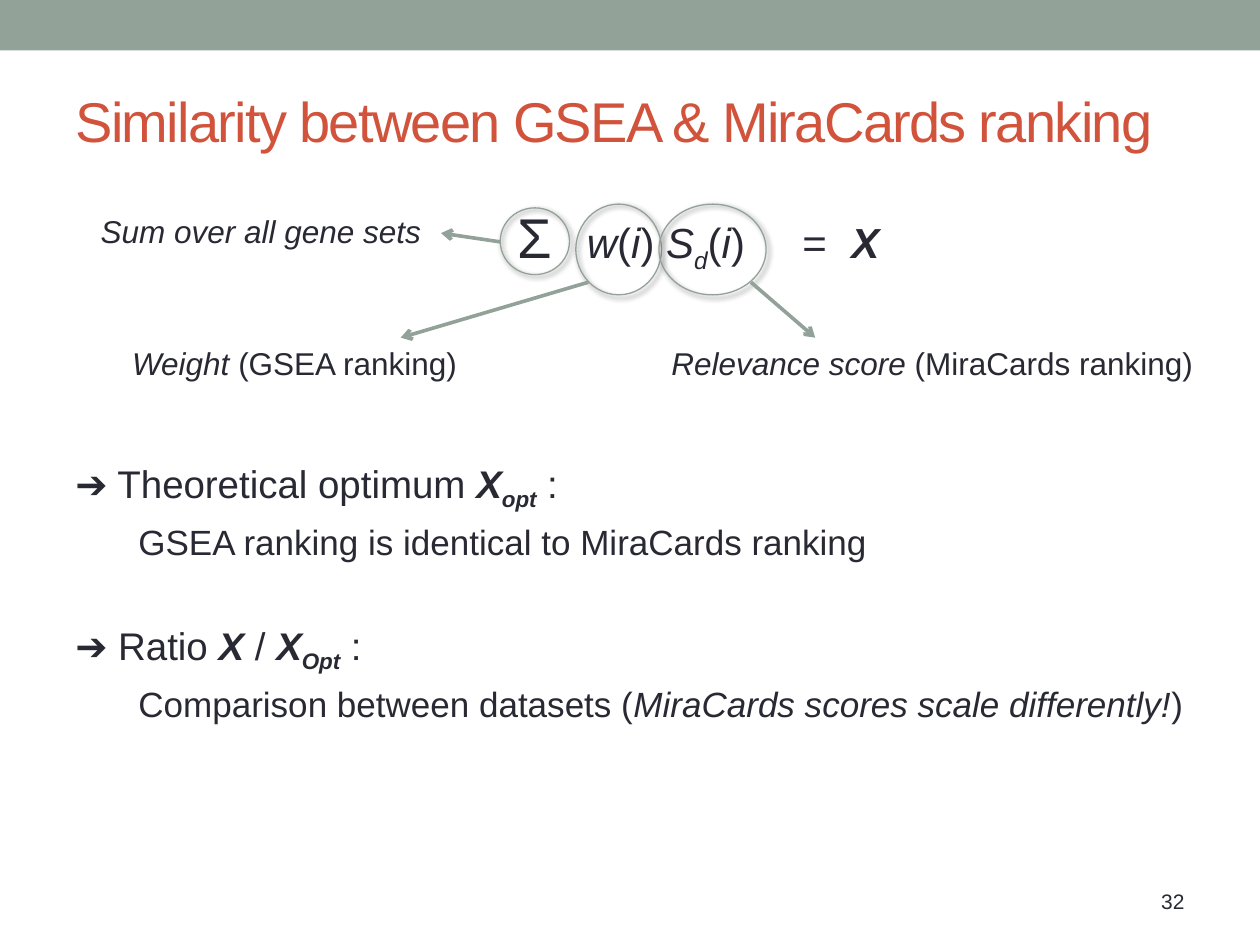
from dataclasses import dataclass
from lxml import etree
from pptx import Presentation, util as u
from pptx.dml.color import RGBColor
from pptx.enum import shapes, text
from pptx.oxml import ns


@dataclass(frozen=True)
class Theme:
    font: str = "Arial"
    ink: str = "292934"
    sage: str = "93A299"
    rust: str = "D2533C"
    title: int = 32
    math: int = 24
    head: int = 22
    body: int = 20
    label: int = 18
    foot: int = 12


def sub(top, tag, **attrs):
    return etree.SubElement(top, ns.qn(tag), attrs)


class Deck:
    """Draw styled elements on a slide, placed on a 100 by 75 grid."""

    def __init__(self, theme):
        self.theme = theme
        self.prs = Presentation()
        self.prs.slide_width, self.prs.slide_height = u.Inches(10), u.Inches(7.5)
        self.slide = self.prs.slides.add_slide(self.prs.slide_layouts[5])

    def grid(self, *cells):
        return [u.Emu(round(cell * self.prs.slide_width / 100)) for cell in cells]

    def color(self, name):
        return RGBColor.from_string(getattr(self.theme, name))

    def style(self, para, runs, size, color="ink"):
        font = para.font
        font.name, font.size = self.theme.font, u.Pt(size)
        font.color.rgb = self.color(color)
        for words, marks in runs:
            run = para.add_run()
            run.text = words
            if "b" in marks:
                run.font.bold = True
            if "i" in marks:
                run.font.italic = True
            if "L" in marks:
                run.font.size = u.Pt(self.theme.title)
            if "s" in marks:
                run._r.get_or_add_rPr().set("baseline", "-25000")

    def title(self, at, words):
        box = self.slide.shapes.title
        box.left, box.top, box.width, box.height = self.grid(*at)
        frame = box.text_frame
        frame.vertical_anchor = text.MSO_ANCHOR.MIDDLE
        para = frame.paragraphs[0]
        para.alignment = text.PP_ALIGN.LEFT
        self.style(para, [(words, "")], self.theme.title, "rust")
        para.runs[0]._r.get_or_add_rPr().set("spc", "-100")

    def text(self, at, lines, align=text.PP_ALIGN.LEFT, tabs=()):
        frame = self.slide.shapes.add_textbox(*self.grid(*at)).text_frame
        frame.word_wrap = True
        for n, (runs, size, gap, indent) in enumerate(lines):
            para = frame.add_paragraph() if n else frame.paragraphs[0]
            para.alignment, para.space_before = align, u.Pt(gap)
            props = para._p.get_or_add_pPr()
            props.set("marL", str(self.grid(indent)[0]))
            if tabs:
                stops = sub(props, "a:tabLst")
                for stop in self.grid(*tabs):
                    sub(stops, "a:tab", pos=str(stop), algn="l")
            self.style(para, runs, size)
        return frame

    def label(self, at, *runs):
        self.text(at, [(runs, self.theme.label, 0, 0)])

    def band(self, at):
        bar = self.slide.shapes.add_shape(
            shapes.MSO_SHAPE.RECTANGLE, *self.grid(*at))
        bar.shadow.inherit = False
        bar.fill.solid()
        bar.fill.fore_color.rgb = self.color("sage")
        bar.line.fill.background()

    def ring(self, at):
        ring = self.slide.shapes.add_shape(
            shapes.MSO_SHAPE.OVAL, *self.grid(*at))
        ring.shadow.inherit = False
        ring.fill.background()
        ring.line.color.rgb = self.color("sage")
        ring.line.width = u.Pt(0.75)
        glow = sub(ring._element.spPr.find(ns.qn("a:effectLst")), "a:outerShdw",
                   blurRad=str(u.Pt(3)), dist=str(u.Pt(2)), dir="2700000")
        shade = sub(glow, "a:srgbClr", val="000000")
        sub(shade, "a:alpha", val="60000")

    def arrow(self, *ends):
        line = self.slide.shapes.add_connector(
            shapes.MSO_CONNECTOR.STRAIGHT, *self.grid(*ends))
        line.line.color.rgb = self.color("sage")
        line.line.width = u.Pt(2.08)
        props = line._element.spPr
        sub(props.find(ns.qn("a:ln")), "a:tailEnd", type="arrow")
        sub(props, "a:effectLst")

    def save(self):
        self.prs.save("out.pptx")


def main():
    theme = Theme()
    deck = Deck(theme)
    deck.band((0, 0, 100, 4))
    deck.title((5, 4.1, 90, 10.8), "Similarity between GSEA & MiraCards ranking")

    top = [("➔ Theoretical optimum ", ""), ("X", "bi"), ("opt", "bis"), (" :", "")]
    same = [("GSEA ranking is identical to MiraCards ranking", "")]
    ratio = [("➔ Ratio ", ""), ("X", "bi"), (" / ", ""), ("X", "bi"),
             ("Opt", "bis"), (" :", "")]
    scale = [("Comparison between datasets (", ""),
             ("MiraCards scores scale differently!", "i"), (")", "")]
    deck.text((5, 36, 92, 23), [
        (top, theme.head, 0, 0), (same, theme.body, 4.5, 5),
        (ratio, theme.head, 34, 0), (scale, theme.body, 4.5, 5)])

    math = [("Σ", "L"), ("\t", ""), ("w", "i"), ("(", ""), ("i", "i"), (") ", ""),
            ("S", "i"), ("d", "is"), ("(", ""), ("i", "i"), (")\t=\t", ""),
            ("X", "bi")]
    deck.text((40.1, 15.6, 32, 6.4), [(math, theme.math, 0, 0)],
              tabs=(5.5, 22.6, 26.5))
    for at in ((39.7, 16.5, 5.5, 5.3), (45.7, 16.2, 6.8, 7.2), (52.3, 16.2, 8.5, 7.2)):
        deck.ring(at)
    for ends in ((39.7, 19.2, 35, 18.5), (46.7, 22.4, 31.8, 26.8),
                 (59.6, 22.4, 64.7, 26.8)):
        deck.arrow(*ends)

    deck.label((7, 16.3, 30.4, 4), ("Sum over all gene sets", "i"))
    deck.label((9.5, 26.8, 28, 4), ("Weight ", "i"), ("(GSEA ranking)", ""))
    deck.label((52.3, 26.8, 44.7, 4), ("Relevance score ", "i"),
               ("(MiraCards ranking)", ""))
    foot = deck.text((71.7, 69.5, 23.3, 4), [([("32", "")], theme.foot, 0, 0)],
                     text.PP_ALIGN.RIGHT)
    foot.vertical_anchor = text.MSO_ANCHOR.MIDDLE
    deck.save()


if __name__ == "__main__":
    main()
